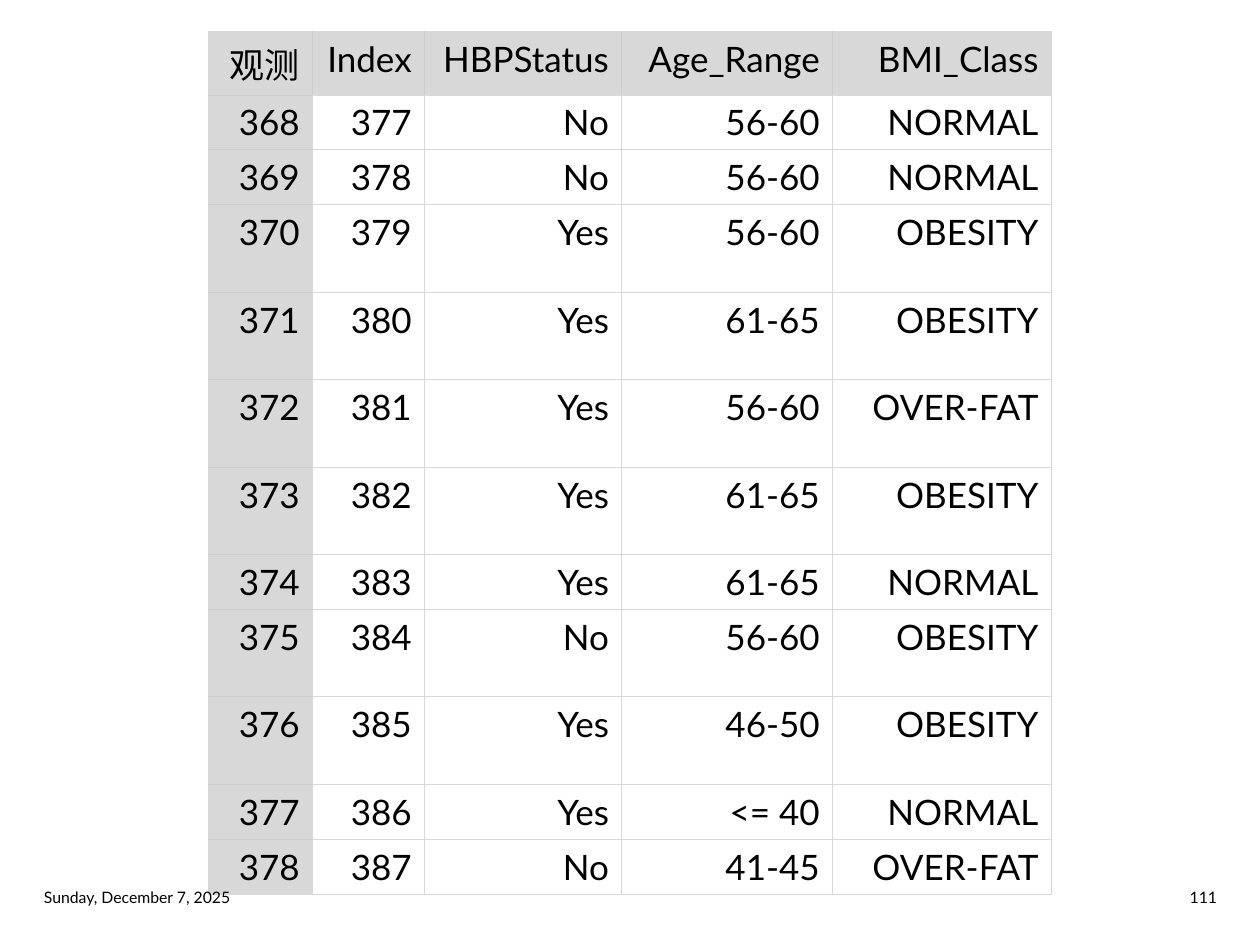
from dataclasses import dataclass

from lxml.etree import SubElement
from pptx import Presentation
from pptx.dml.color import RGBColor
from pptx.enum.text import MSO_ANCHOR, PP_ALIGN
from pptx.oxml.ns import qn
from pptx.util import Pt


@dataclass(frozen=True)
class Theme:
    font: str = "Lato"
    text: str = "000000"
    header_fill: str = "D8D8D8"
    outer_line: str = "D8D8D8"
    header_line: str = "CCCCCC"
    line_width: float = 0.5
    table_size: int = 20
    footer_size: int = 9


theme = Theme()

HEADINGS = ["观测", "Index", "HBPStatus", "Age_Range", "BMI_Class"]
FIRST_OBSERVATION = 368
FIRST_INDEX = 377
RECORDS = [
    ("No", "56-60", "NORMAL"),
    ("No", "56-60", "NORMAL"),
    ("Yes", "56-60", "OBESITY"),
    ("Yes", "61-65", "OBESITY"),
    ("Yes", "56-60", "OVER-FAT"),
    ("Yes", "61-65", "OBESITY"),
    ("Yes", "61-65", "NORMAL"),
    ("No", "56-60", "OBESITY"),
    ("Yes", "46-50", "OBESITY"),
    ("Yes", "<= 40", "NORMAL"),
    ("No", "41-45", "OVER-FAT"),
]
COLUMN_WIDTHS = [59.5, 64, 112.75, 120.5, 125]
SHORT_ROW, TALL_ROW = 30.24, 50
TALL_ROWS = {3, 4, 5, 6, 8, 9}


def write(frame, text, size, align):
    frame.text = text
    para = frame.paragraphs[0]
    para.alignment = align
    for span in para.runs:
        span.font.name = theme.font
        span.font.size = Pt(size)
        span.font.color.rgb = RGBColor.from_string(theme.text)


def set_borders(cell, colors):
    """Draw the four cell edges; colors run left, right, top, bottom."""
    properties = cell._tc.get_or_add_tcPr()
    for position, (edge, color) in enumerate(zip("LRTB", colors)):
        line = SubElement(properties, qn(f"a:ln{edge}"), w=str(Pt(theme.line_width)))
        SubElement(SubElement(line, qn("a:solidFill")), qn("a:srgbClr"), val=color)
        properties.insert(position, line)


deck = Presentation()
deck.slide_width, deck.slide_height = Pt(720), Pt(540)
page = deck.slides.add_slide(deck.slide_layouts[6])

rows = [HEADINGS] + [
    (str(FIRST_OBSERVATION + number), str(FIRST_INDEX + number), *record)
    for number, record in enumerate(RECORDS)
]
heights = [TALL_ROW if row in TALL_ROWS else SHORT_ROW for row in range(len(rows))]
table = page.shapes.add_table(
    len(rows), len(HEADINGS), Pt(119), Pt(18), Pt(sum(COLUMN_WIDTHS)), Pt(sum(heights))
).table
table.first_row = table.horz_banding = False
for column, width in zip(table.columns, COLUMN_WIDTHS):
    column.width = Pt(width)
for table_row, height in zip(table.rows, heights):
    table_row.height = Pt(height)

last_row, last_column = len(rows) - 1, len(HEADINGS) - 1
for row, values in enumerate(rows):
    for column, value in enumerate(values):
        cell = table.cell(row, column)
        write(cell.text_frame, value, theme.table_size, PP_ALIGN.RIGHT)
        is_header = row == 0 or column == 0
        if is_header:
            cell.fill.solid()
            cell.fill.fore_color.rgb = RGBColor.from_string(theme.header_fill)
        else:
            cell.fill.background()
        on_outside = [column == 0, column == last_column, row == 0, row == last_row]
        set_borders(cell, [
            theme.header_line if is_header and not outside else theme.outer_line
            for outside in on_outside
        ])

for left, text, align in [
    (18, "Sunday, December 7, 2025", PP_ALIGN.LEFT),
    (531.5, "111", PP_ALIGN.RIGHT),
]:
    box = page.shapes.add_textbox(Pt(left), Pt(503.5), Pt(171), Pt(18.5))
    box.text_frame.word_wrap = True
    box.text_frame.vertical_anchor = MSO_ANCHOR.MIDDLE
    write(box.text_frame, text, theme.footer_size, align)

deck.save("out.pptx")
